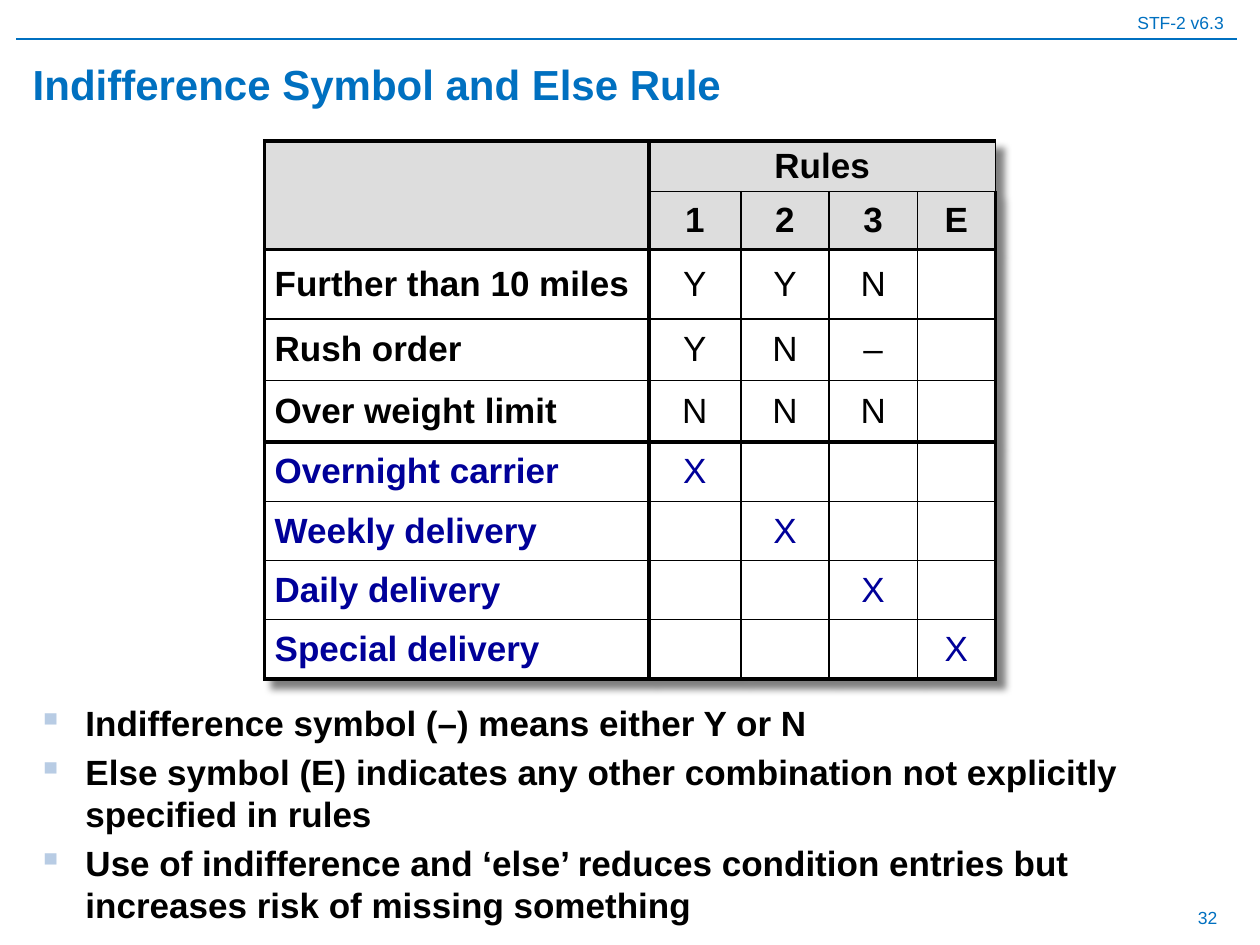
from lxml.etree import SubElement
from pptx import Presentation
from pptx.dml.color import RGBColor
from pptx.enum.shapes import MSO_CONNECTOR
from pptx.enum.text import MSO_ANCHOR, PP_ALIGN
from pptx.oxml import parse_xml
from pptx.oxml.ns import nsdecls, qn
from pptx.util import Inches, Pt

COLORS = {"blue": "0070C0", "navy": "000099", "black": "000000",
          "white": "FFFFFF", "header": "DDDDDD", "bullet": "B8CCE4"}


def write(frame, text, size=20, color="black", bold=False, align=PP_ALIGN.LEFT,
          anchor=MSO_ANCHOR.MIDDLE):
    """Write one paragraph per line of text and return the paragraphs."""
    frame.word_wrap = True
    frame.vertical_anchor = anchor
    frame.text = text
    for paragraph in frame.paragraphs:
        paragraph.alignment = align
        font = paragraph.font
        font.name, font.size, font.bold = "Arial", Pt(size), bold
        font.color.rgb = RGBColor.from_string(COLORS[color])
    return frame.paragraphs


def draw_border(cell, side, width):
    line = SubElement(cell._tc.get_or_add_tcPr(), qn(f"a:ln{side}"), w=str(Pt(width)))
    fill = SubElement(line, qn("a:solidFill"))
    SubElement(fill, qn("a:srgbClr"), val=COLORS["black"])


prs = Presentation()
prs.slide_width, prs.slide_height = Inches(10), Inches(7.5)
slide = prs.slides.add_slide(prs.slide_layouts[5])

# Running header, rule and page number
header = slide.shapes.add_textbox(Inches(0), Inches(0.04), Inches(9.81), Inches(0.27))
write(header.text_frame, "STF-2 v6.3", size=10, color="blue", align=PP_ALIGN.RIGHT)
rule = slide.shapes.add_connector(MSO_CONNECTOR.STRAIGHT, Inches(0.13), Inches(0.31),
                                  Inches(9.82), Inches(0.31))
rule.line.color.rgb = RGBColor.from_string(COLORS["blue"])
rule.line.width = Pt(0.75)
SubElement(rule._element.spPr, qn("a:effectLst"))
page_number = slide.shapes.add_textbox(Inches(7.43), Inches(7.09), Inches(2.33), Inches(0.39))
write(page_number.text_frame, "32", size=10, color="blue", align=PP_ALIGN.RIGHT)

# Title
title = slide.shapes.title
title.left, title.top = Inches(0.16), Inches(0.39)
title.width, title.height = Inches(9.61), Inches(0.55)
write(title.text_frame, "Indifference Symbol and Else Rule", size=24, color="blue", bold=True)

# Decision table: two header rows, three conditions, four actions
DECISIONS = [
    ["", "Rules", "", "", ""],
    ["", "1", "2", "3", "E"],
    ["Further than 10 miles", "Y", "Y", "N", ""],
    ["Rush order", "Y", "N", "–", ""],
    ["Over weight limit", "N", "N", "N", ""],
    ["Overnight carrier", "X", "", "", ""],
    ["Weekly delivery", "", "X", "", ""],
    ["Daily delivery", "", "", "X", ""],
    ["Special delivery", "", "", "", "X"],
]
COLUMN_WIDTHS = [3.05, 0.73, 0.7, 0.7, 0.62]
ROW_HEIGHTS = [0.4, 0.46, 0.55, 0.49, 0.49] + [0.47] * 4
HEADER_ROWS, FIRST_ACTION = 2, 5
HEAVY_ROWS = {0, HEADER_ROWS, FIRST_ACTION, len(ROW_HEIGHTS)}
HEAVY_COLUMNS = {0, 1, len(COLUMN_WIDTHS)}

decisions = slide.shapes.add_table(
    len(ROW_HEIGHTS), len(COLUMN_WIDTHS), Inches(2.1), Inches(1.12),
    Inches(sum(COLUMN_WIDTHS)), Inches(sum(ROW_HEIGHTS))).table
decisions.first_row = decisions.horz_banding = False
for column, width in zip(decisions.columns, COLUMN_WIDTHS):
    column.width = Inches(width)
for row, height in zip(decisions.rows, ROW_HEIGHTS):
    row.height = Inches(height)

for r, entries in enumerate(DECISIONS):
    for c, entry in enumerate(entries):
        cell = decisions.cell(r, c)
        is_header, is_label = r < HEADER_ROWS, c == 0
        write(cell.text_frame, entry, bold=is_header or is_label,
              color="navy" if r >= FIRST_ACTION else "black",
              align=PP_ALIGN.LEFT if is_label else PP_ALIGN.CENTER)
        cell.vertical_anchor = MSO_ANCHOR.MIDDLE
        cell.margin_left = Inches(0.08 if is_label else 0)
        cell.margin_right = cell.margin_top = cell.margin_bottom = 0
        edges = [("L", c, HEAVY_COLUMNS), ("R", c + 1, HEAVY_COLUMNS),
                 ("T", r, HEAVY_ROWS), ("B", r + 1, HEAVY_ROWS)]
        for side, edge, heavy in edges:
            draw_border(cell, side, 2.25 if edge in heavy else 1)
        cell.fill.solid()
        cell.fill.fore_color.rgb = RGBColor.from_string(
            COLORS["header" if is_header else "white"])
decisions.cell(0, 0).merge(decisions.cell(1, 0))
decisions.cell(0, 1).merge(decisions.cell(0, 4))

# Soft shadow at the lower right of the table
decisions._tbl.tblPr.insert(0, parse_xml(
    f'<a:effectLst {nsdecls("a")}><a:outerShdw blurRad="{Inches(0.06)}" '
    f'dist="{Inches(0.09)}" dir="2700000" algn="tl" rotWithShape="0">'
    f'<a:srgbClr val="{COLORS["black"]}"><a:alpha val="50000"/></a:srgbClr>'
    '</a:outerShdw></a:effectLst>'))

# Explanatory bullets
NOTES = [
    "Indifference symbol (–) means either Y or N",
    "Else symbol (E) indicates any other combination not explicitly specified in rules",
    "Use of indifference and ‘else’ reduces condition entries but "
    "increases risk of missing something",
]
notes = slide.shapes.add_textbox(Inches(0.2), Inches(5.52), Inches(9.65), Inches(1.95))
for paragraph in write(notes.text_frame, "\n".join(NOTES), bold=True, anchor=MSO_ANCHOR.TOP):
    paragraph.space_before = Pt(4)
    paragraph.line_spacing = Pt(24)
    properties = paragraph._p.get_or_add_pPr()
    properties.set("marL", str(Inches(0.38)))
    properties.set("indent", str(-Inches(0.38)))
    bullet_color = parse_xml(f'<a:buClr {nsdecls("a")}><a:srgbClr val="{COLORS["bullet"]}"/></a:buClr>')
    bullet = parse_xml(f'<a:buChar {nsdecls("a")} char="▪"/>')
    properties.find(qn("a:spcBef")).addnext(bullet_color)
    bullet_color.addnext(bullet)

prs.save("out.pptx")
